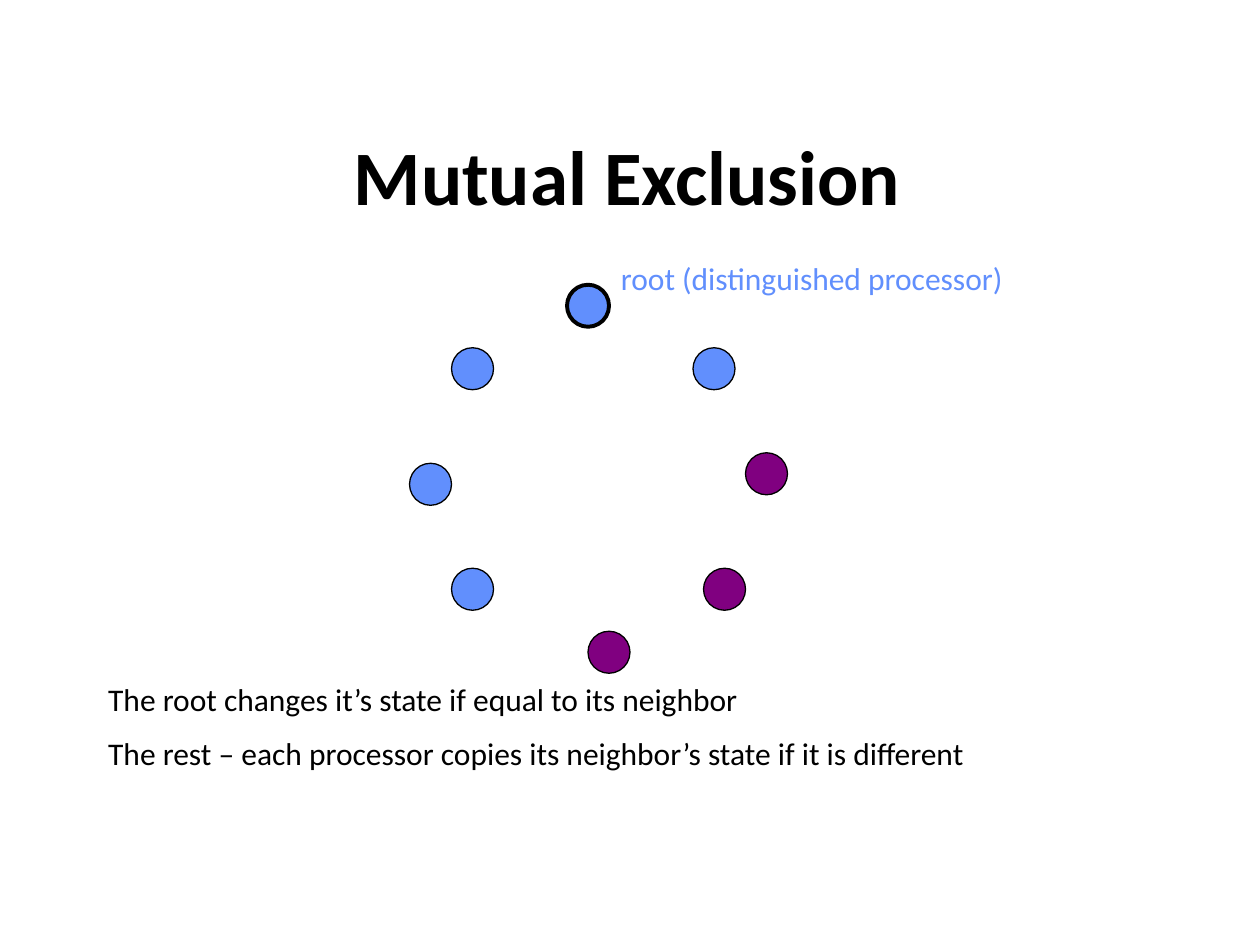
from pptx import Presentation
from pptx.dml.color import RGBColor
from pptx.enum.shapes import MSO_SHAPE
from pptx.enum.text import MSO_ANCHOR, MSO_AUTO_SIZE, PP_ALIGN
from pptx.util import Inches, Pt

UNIT = 1 / 12
SIDE = 4
DROP = 0.01
BLACK, BLUE, PURPLE = "000000", "618FFD", "800080"
RING = [
    (54, 27, BLUE), (66, 33, BLUE), (71, 43, PURPLE), (67, 54, PURPLE),
    (56, 60, PURPLE), (43, 33, BLUE), (43, 54, BLUE), (39, 44, BLUE),
]
RULES = [
    "The root changes it’s state if equal to its neighbor",
    "The rest – each processor copies its neighbor’s state if it is different",
]


def tint(code):
    """Turn a hex string into a colour."""
    return RGBColor.from_string(code)


def place(shape, left, top, width, height):
    """Set the box of a shape in inches."""
    shape.left, shape.top = Inches(left), Inches(top)
    shape.width, shape.height = Inches(width), Inches(height)


def write(para, text, size, color, bold=False):
    """Add one styled run to a paragraph."""
    run = para.add_run()
    run.text = text
    font = run.font
    font.name, font.size, font.bold = "Calibri", Pt(size), bold
    font.color.rgb = tint(color)


def add_title(slide, text):
    """Fill and place the title."""
    title = slide.shapes.title
    place(title, 1.65, 0.76, 6.66, 1.25)
    frame = title.text_frame
    frame.vertical_anchor = MSO_ANCHOR.MIDDLE
    para = frame.paragraphs[0]
    para.alignment = PP_ALIGN.CENTER
    write(para, text, 44, BLACK, True)


def add_node(group, col, row, color, line):
    """Draw one processor at a grid cell."""
    left, top = Inches(col * UNIT), Inches(row * UNIT + DROP)
    side = Inches(SIDE * UNIT)
    node = group.shapes.add_shape(MSO_SHAPE.OVAL, left, top, side, side)
    node.shadow.inherit = False
    node.fill.solid()
    node.fill.fore_color.rgb = tint(color)
    node.line.color.rgb = tint(BLACK)
    node.line.width = Pt(line)


def add_text(slide, box, lines, color):
    """Add a text box with one paragraph per line."""
    shape = slide.shapes.add_textbox(*map(Inches, box))
    frame = shape.text_frame
    frame.word_wrap = True
    frame.auto_size = MSO_AUTO_SIZE.SHAPE_TO_FIT_TEXT
    for i, line in enumerate(lines):
        para = frame.add_paragraph() if i else frame.paragraphs[0]
        para.space_before = Pt(9 if i else 0)
        write(para, line, 18, color)


def main():
    """Build the slide and save it."""
    deck = Presentation()
    deck.slide_width, deck.slide_height = Inches(10), Inches(7.5)
    slide = deck.slides.add_slide(deck.slide_layouts[5])
    ring = slide.shapes.add_group_shape()
    for i, (col, row, color) in enumerate(RING):
        add_node(ring, col, row, color, 0.75 if i else 2.25)
    add_title(slide, "Mutual Exclusion")
    add_text(slide, (0.76, 5.35, 8.49, 0.86), RULES, BLACK)
    root = ["root (distinguished processor)"]
    add_text(slide, (4.83, 2.01, 3.24, 0.4), root, BLUE)
    deck.save("out.pptx")


if __name__ == "__main__":
    main()
